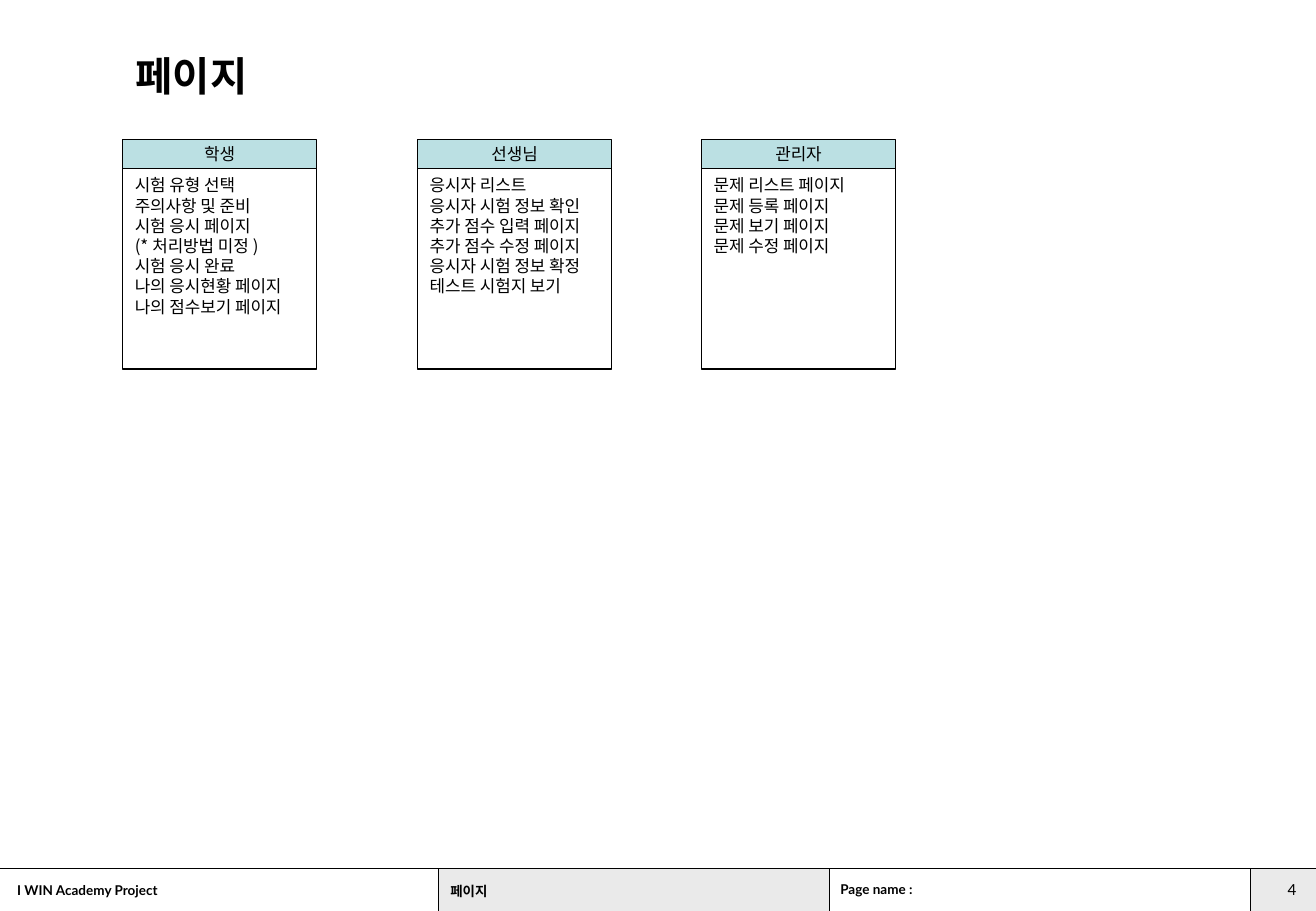
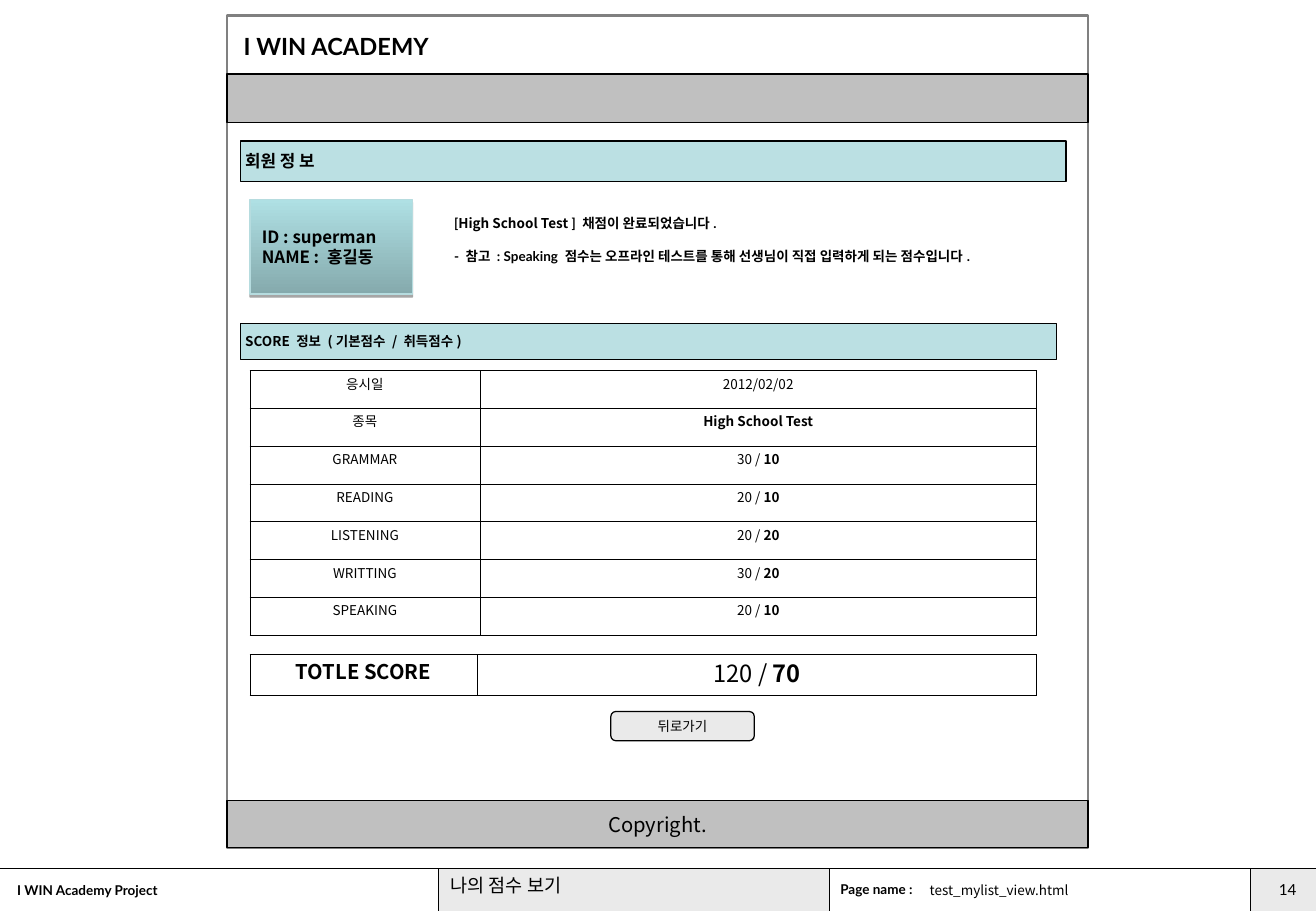
from dataclasses import dataclass

from lxml import etree
from pptx import Presentation
from pptx.dml.color import RGBColor
from pptx.enum.shapes import MSO_CONNECTOR, MSO_SHAPE
from pptx.enum.text import MSO_ANCHOR, MSO_AUTO_SIZE, PP_ALIGN
from pptx.oxml import parse_xml
from pptx.oxml.ns import qn
from pptx.util import Cm, Pt

RECT, ROUND = MSO_SHAPE.RECTANGLE, MSO_SHAPE.ROUNDED_RECTANGLE
LINE = MSO_CONNECTOR.STRAIGHT
LEFT, CENTER, RIGHT = PP_ALIGN.LEFT, PP_ALIGN.CENTER, PP_ALIGN.RIGHT
TOP, MIDDLE = MSO_ANCHOR.TOP, MSO_ANCHOR.MIDDLE
FIXED = MSO_AUTO_SIZE.NONE
NS = 'xmlns:a="http://schemas.openxmlformats.org/drawingml/2006/main"'


@dataclass(frozen=True)
class Theme:
    ink: str = "000000"
    paper: str = "FFFFFF"
    aqua: str = "BBE0E3"
    pale: str = "EAEAEA"
    gray: str = "C0C0C0"
    frame: str = "808080"
    rim: str = "B6DCDF"
    deep: str = "85AAAD"
    light: str = "AFE0E4"
    sans: str = "Lato"
    korean: str = "Noto Sans CJK KR"
    small: float = 8
    page: float = 9
    body: float = 10
    label: float = 11
    large: float = 12
    head: float = 14
    title: float = 24
    lead: float = 1.2
    hair: float = 0.25
    cell: float = 0.45
    thin: float = 0.75
    thick: float = 1.5
    pad: float = 0.25
    slim: float = 0.1
    wide: float = 0.28


T = Theme()
WIDTH, HEIGHT = 27.53, 19.05
FOOT = (0, 18.16, WIDTH, 0.89)
TABS = (9.17, 17.35, 26.16)  # left edges of the footer's later fields


def rgb(code):
    return RGBColor.from_string(code)


def place(box, dx, dy, w, h):
    """Return a box offset from the corner of its parent."""
    return box[0] + dx, box[1] + dy, w, h


def write(frame, lines, size=T.body, font=T.korean, bold=False,
          align=LEFT, anchor=TOP, pad=T.pad, gap=0):
    """A line is a string or a list of (text, bold, font) runs."""
    frame.word_wrap = True
    frame.auto_size = FIXED
    frame.vertical_anchor = anchor
    frame.margin_left = frame.margin_right = Cm(pad)
    frame.margin_top = frame.margin_bottom = Cm(0.13)
    fill_text(frame, lines, size, font, bold, align, gap)


def fill_text(frame, lines, size, font, bold, align, gap=0):
    for i, line in enumerate(lines):
        para = frame.add_paragraph() if i else frame.paragraphs[0]
        para.alignment = align
        para.line_spacing = Pt(size * T.lead)
        para.space_before = Pt(gap if i else 0)
        runs = [(line, bold, font)] if isinstance(line, str) else line
        for text, strong, face in runs:
            run = para.add_run()
            run.text = text
            run.font.size = Pt(size)
            run.font.bold = strong
            run.font.color.rgb = rgb(T.ink)
            run.font.name = face
            east = etree.SubElement(run.font._element, qn("a:ea"))
            east.set("typeface", T.korean)


def label(slide, box, lines, **style):
    item = slide.shapes.add_textbox(*map(Cm, box))
    write(item.text_frame, lines, **style)
    return item


def panel(slide, box, fill=None, line=T.ink, weight=T.thin, kind=RECT,
          lines=(), **style):
    item = slide.shapes.add_shape(kind, *map(Cm, box))
    item.shadow.inherit = False
    if fill:
        item.fill.solid()
        item.fill.fore_color.rgb = rgb(fill)
    else:
        item.fill.background()
    if line:
        item.line.color.rgb = rgb(line)
        item.line.width = Pt(weight)
    else:
        item.line.fill.background()
    if lines:
        write(item.text_frame, lines, **style)
    return item


def rule(slide, x1, y1, x2, y2, weight):
    item = slide.shapes.add_connector(LINE, *map(Cm, (x1, y1, x2, y2)))
    item.line.color.rgb = rgb(T.ink)
    item.line.width = Pt(weight)
    etree.SubElement(item.element.spPr, qn("a:effectLst"))
    return item


def footer(slide, layout, box):
    """Draw the fixed footer and move it to the layout."""
    x, y, w, h = box
    mid, name, page = TABS
    parts = [
        panel(slide, (page, y, x + w - page, h), T.pale, None),
        panel(slide, (mid, y, name - mid, h), T.pale, None),
        rule(slide, x, y, x + w, y, T.thin),
    ]
    for left, weight in zip(TABS, (T.hair, T.hair, T.thin)):
        parts.append(rule(slide, left, y, left, y + h, weight))
    for left, top, text in ((x + 0.08, 0.15, "I WIN Academy Project"),
                            (name - 0.05, 0.13, "Page name :")):
        parts.append(label(slide, (left, y + top, 5.84, 0.61), [text],
                           size=T.small, font=T.sans, bold=True, pad=T.wide))
    for part in parts:
        layout.shapes.element.append(part.element)


def fields(slide, box, name, number, size, bold, top, high):
    """Fill in the footer fields that vary by slide."""
    title = slide.shapes.title
    title.left, title.top, title.width, title.height = map(
        Cm, (TABS[0], box[1] + top, 8.2, high))
    write(title.text_frame, [name], size=size, bold=bold)
    label(slide, (TABS[2] + 0.1, box[1] + 0.13, 1.14, 0.71), [number],
          size=T.page, font=T.sans, align=RIGHT, pad=T.wide)


def card(slide, box, name, items):
    x, y, w, h = box
    head = 0.61
    panel(slide, (x, y, w, head), T.aqua, lines=[name],
          align=CENTER, anchor=MIDDLE)
    panel(slide, (x, y + head, w, h - head), T.paper, lines=items)


def badge(slide, box, lines):
    """Identity card with a gradient and a drop shadow."""
    item = panel(slide, box, T.aqua, T.rim, lines=lines,
                 bold=True, anchor=MIDDLE)
    item.fill.gradient()
    item.fill.gradient_angle = 90
    for stop, code in zip(item.fill.gradient_stops, (T.deep, T.light)):
        stop.color.rgb = rgb(code)
    item.element.spPr.find(qn("a:effectLst")).append(parse_xml(
        f'<a:outerShdw {NS} blurRad="0" dist="22860" dir="5400000" '
        f'rotWithShape="0"><a:srgbClr val="{T.ink}">'
        '<a:alpha val="35000"/></a:srgbClr></a:outerShdw>'))


def edge(cell):
    props = cell._tc.get_or_add_tcPr()
    for i, side in enumerate("LRTB"):
        props.insert(i, parse_xml(
            f'<a:ln{side} {NS} w="{int(Pt(T.cell))}"><a:solidFill>'
            f'<a:srgbClr val="{T.ink}"/></a:solidFill></a:ln{side}>'))


def grid(slide, box, cols, rows, sizes):
    x, y, w, h = box
    table = slide.shapes.add_table(len(rows), len(cols),
                                   *map(Cm, box)).table
    table.first_row = table.horz_banding = False
    for col, wide in zip(table.columns, cols):
        col.width = Cm(wide)
    for r, row in enumerate(rows):
        table.rows[r].height = Cm(h / len(rows))
        for c, runs in enumerate(row):
            cell = table.cell(r, c)
            cell.fill.background()
            edge(cell)
            cell.margin_left = cell.margin_right = Cm(T.pad)
            cell.margin_top = cell.margin_bottom = Cm(0.13)
            fill_text(cell.text_frame, [runs], sizes[c], T.korean,
                      False, CENTER)


def score(base, got):
    return [(f"{base} / ", False, T.korean), (str(got), True, T.korean)]


def screen(slide, box):
    """Mock-up of the score page."""
    w, h = box[2:]
    # Page frame, header and footer bars
    panel(slide, box, None, T.frame, T.thick)
    label(slide, place(box, 0.25, 0.2, 6, 0.86), ["I WIN ACADEMY"],
          size=T.head, font=T.sans, bold=True, pad=T.slim)
    panel(slide, place(box, 0, 1.22, w, 1.02), T.gray)
    panel(slide, place(box, 0, h - 0.99, w, 0.99), T.gray,
          lines=["Copyright."], size=T.large, align=CENTER, anchor=MIDDLE)

    # Section bands
    for top, wide, high, text, size in (
            (2.62, 17.27, 0.84, "회원 정 보", T.body),
            (6.43, 17.07, 0.76, "SCORE 정보 (기본점수 / 취득점수)", T.small)):
        panel(slide, place(box, 0.28, top, wide, high), T.aqua, lines=[text],
              size=size, bold=True, anchor=MIDDLE, pad=T.slim)

    # Member and notice
    badge(slide, place(box, 0.48, 3.84, 3.4, 1.98),
          ["ID : superman", "NAME : 홍길동"])
    label(slide, place(box, 4.5, 4.04, 12.24, 1.27), [
        [("[", True, T.sans), ("High School Test ", True, T.korean),
         ("] 채점이 완료되었습니다.", True, T.sans)],
        "- 참고 : Speaking 점수는 오프라인 테스트를 통해 "
        "선생님이 직접 입력하게 되는 점수입니다.",
    ], size=T.small, font=T.sans, bold=True, gap=T.small * T.lead)

    # Scores and total
    marks = (("GRAMMAR", 30, 10), ("READING", 20, 10), ("LISTENING", 20, 20),
             ("WRITTING", 30, 20), ("SPEAKING", 20, 10))
    rows = [("응시일", "2012/02/02"),
            ("종목", [("High School Test", True, T.korean)])]
    rows += [(name, score(base, got)) for name, base, got in marks]
    grid(slide, place(box, 0.48, 7.42, 16.46, 5.53), (4.81, 11.65), rows,
         (T.small, T.small))
    total = [("TOTLE SCORE", True, T.korean)]
    grid(slide, place(box, 0.48, 13.36, 16.46, 0.85), (4.75, 11.71),
         [(total, score(120, 70))], (T.large, T.head))

    # Back button
    panel(slide, place(box, 8.03, 14.55, 3, 0.61), T.pale, kind=ROUND,
          lines=["뒤로가기"], size=T.small, font=T.sans,
          align=CENTER, anchor=MIDDLE)


def roles(slide):
    fields(slide, FOOT, "페이지", "4", T.small, True, 0.18, 0.61)
    cards = (
        (2.57, "학생", ["시험 유형 선택", "주의사항 및 준비", "시험 응시 페이지",
                      "(*처리방법 미정)", "시험 응시 완료",
                      "나의 응시현황 페이지", "나의 점수보기 페이지"]),
        (8.74, "선생님", ["응시자 리스트", "응시자 시험 정보 확인",
                       "추가 점수 입력 페이지", "추가 점수 수정 페이지",
                       "응시자 시험 정보 확정", "테스트 시험지 보기"]),
        (14.68, "관리자", ["문제 리스트 페이지", "문제 등록 페이지",
                        "문제 보기 페이지", "문제 수정 페이지"]),
    )
    for left, name, items in cards:
        card(slide, (left, 2.92, 4.05, 4.8), name, items)
    label(slide, (2.59, 0.94, 6, 1.27), ["페이지"], size=T.title, bold=True)


def result(slide):
    fields(slide, FOOT, "나의 점수 보기", "14", T.label, False, -0.02, 0.91)
    label(slide, (19.35, FOOT[1] + 0.15, 6.6, 0.61),
          ["test_mylist_view.html"], size=T.small, pad=T.slim)
    screen(slide, (4.75, 0.33, 18.01, 17.4))


def main():
    deck = Presentation()
    deck.slide_width, deck.slide_height = Cm(WIDTH), Cm(HEIGHT)
    layout = deck.slide_layouts[5]
    for item in list(layout.placeholders)[1:]:
        layout.shapes.element.remove(item.element)
    first, second = (deck.slides.add_slide(layout) for _ in range(2))
    footer(first, layout, FOOT)
    roles(first)
    result(second)
    deck.save("out.pptx")


if __name__ == "__main__":
    main()
